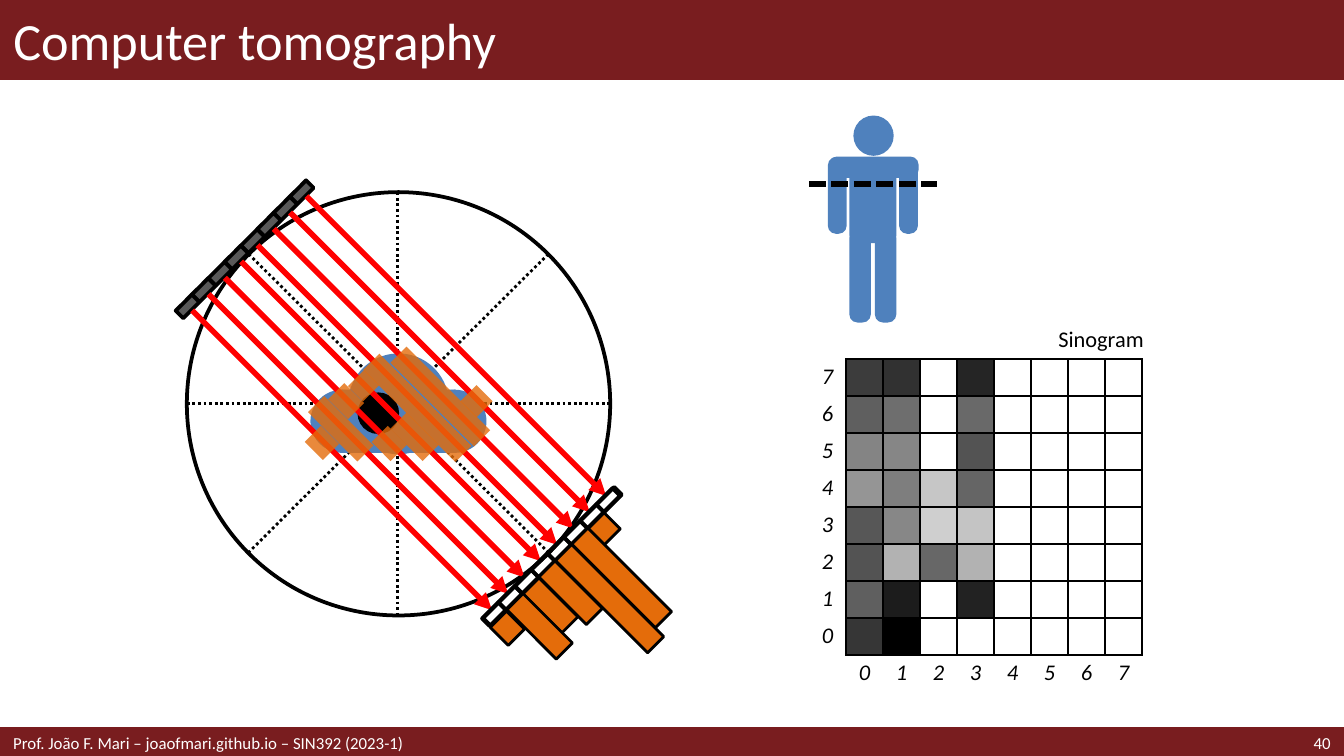
from typing import NamedTuple, Optional

from lxml.etree import SubElement
from pptx import Presentation
from pptx.dml.color import RGBColor
from pptx.enum.dml import MSO_LINE
from pptx.enum.shapes import MSO_CONNECTOR, MSO_SHAPE
from pptx.enum.text import MSO_ANCHOR, MSO_AUTO_SIZE, PP_ALIGN
from pptx.oxml.ns import qn
from pptx.util import Inches, Pt

FONT = "Calibri"
MAROON = RGBColor(0x79, 0x1D, 0x1F)
WHITE = RGBColor(0xFF, 0xFF, 0xFF)
BLACK = RGBColor(0, 0, 0)
BLUE = RGBColor(0x4F, 0x81, 0xBD)
GRAY = RGBColor(0x59, 0x59, 0x59)
RED = RGBColor(0xFF, 0, 0)
ORANGE = RGBColor(0xE4, 0x6C, 0x0A)
PLAIN_TABLE = "{2D5ABB26-0587-4C30-8999-92F81FD0307C}"

RECT, ROUND, OVAL = MSO_SHAPE.RECTANGLE, MSO_SHAPE.ROUNDED_RECTANGLE, MSO_SHAPE.OVAL


class Box(NamedTuple):
    x: float
    y: float
    w: float
    h: float


class Part(NamedTuple):
    kind: MSO_SHAPE
    box: Box
    rotation: float = 0
    adjust: Optional[float] = None


RAYS = 8
STEP = 0.85 / (RAYS - 1)
RAY_LENGTH = 2.23
ANGLE = 135
CELL_W, CELL_H = 0.17, 0.08

SCANNED_OBJECT = [
    Part(OVAL, Box(2.59, 2.63, 0.75, 0.75)),
    Part(OVAL, Box(3.15, 2.9, 0.47, 0.47)),
    Part(RECT, Box(2.54, 2.9, 0.85, 0.47)),
    Part(OVAL, Box(2.31, 2.9, 0.47, 0.47)),
]
PERSON = [
    Part(ROUND, Box(6.16, 1.17, 0.14, 0.57), adjust=0.43),
    Part(ROUND, Box(6.42, 0.91, 0.16, 0.67), 90, 0.39),
    Part(ROUND, Box(6.69, 1.17, 0.14, 0.57), adjust=0.43),
    Part(ROUND, Box(6.32, 1.17, 0.35, 0.64)),
    Part(ROUND, Box(6.32, 1.71, 0.16, 0.69), adjust=0.38),
    Part(OVAL, Box(6.35, 0.86, 0.3, 0.3)),
    Part(ROUND, Box(6.51, 1.71, 0.16, 0.69), adjust=0.38),
]
# Left, top and length of each strip along the rays
ABSORBED = [
    (3.46, 2.9, 0.17), (3.19, 2.51, 0.88), (3.02, 2.55, 0.97),
    (2.62, 2.79, 0.16), (2.49, 2.88, 0.21), (2.45, 2.93, 0.52),
    (2.31, 3.2, 0.19), (3, 3.08, 0.34), (2.81, 3.2, 0.2),
]
PROFILE = [
    (4.41, 3.85, 0.17), (4.54, 3.86, 0.88), (4.45, 3.97, 0.97),
    (4.16, 4.16, 0.5), (4.01, 4.3, 0.41), (3.93, 4.4, 0.52), (3.69, 4.58, 0.19),
]
# Gray levels of the filled columns, from row 7 down to row 0
SINOGRAM = [
    (0x3C, 0x31, None, 0x25),
    (0x5F, 0x6E, None, 0x69),
    (0x84, 0x86, 0xFF, 0x53),
    (0x95, 0x7E, 0xC6, 0x65),
    (0x57, 0x87, 0xCF, 0xC4),
    (0x53, 0xB2, 0x67, 0xB2),
    (0x5F, 0x1C, None, 0x22),
    (0x36, 0x00, None, None),
]


def write(tf, text: str, *, size: float, color: RGBColor = BLACK,
          align: PP_ALIGN = PP_ALIGN.LEFT, italic: bool = False) -> None:
    p = tf.paragraphs[0]
    p.alignment = align
    r = p.add_run()
    r.text = text
    r.font.name, r.font.size, r.font.italic = FONT, Pt(size), italic
    r.font.color.rgb = color


def add_text(slide, box: Box, text: str, *, margin_y: float = 0.05, margin_right: float = 0.1,
             anchor: MSO_ANCHOR = MSO_ANCHOR.MIDDLE, **style) -> None:
    tf = slide.shapes.add_textbox(*map(Inches, box)).text_frame
    tf.word_wrap = True
    tf.vertical_anchor = anchor
    tf.margin_top = tf.margin_bottom = Inches(margin_y)
    tf.margin_right = Inches(margin_right)
    write(tf, text, **style)


def add_part(slide, part: Part, *, fill: Optional[RGBColor] = None, opacity: int = 100,
             line: Optional[RGBColor] = None, width: float = 1) -> None:
    sp = slide.shapes.add_shape(part.kind, *map(Inches, part.box))
    sp.shadow.inherit = False
    sp.rotation = part.rotation
    if part.adjust is not None:
        sp.adjustments[0] = part.adjust
    if fill is None:
        sp.fill.background()
    else:
        sp.fill.solid()
        sp.fill.fore_color.rgb = fill
        if opacity < 100:
            color = sp._element.spPr.find(qn("a:solidFill")).find(qn("a:srgbClr"))
            SubElement(color, qn("a:alpha")).set("val", str(opacity * 1000))
    if line is None:
        sp.line.fill.background()
    else:
        sp.line.color.rgb = line
        sp.line.width = Pt(width)


def add_line(slide, x1: float, y1: float, x2: float, y2: float, *, color: RGBColor = BLACK,
             width: float = 1.5, dash: Optional[MSO_LINE] = None, arrow: bool = False) -> None:
    ends = map(Inches, (x1, y1, x2, y2))
    cn = slide.shapes.add_connector(MSO_CONNECTOR.STRAIGHT, *ends)
    cn.line.color.rgb = color
    cn.line.width = Pt(width)
    if dash is not None:
        cn.line.dash_style = dash
    sp_pr = cn._element.spPr
    if arrow:
        SubElement(sp_pr.find(qn("a:ln")), qn("a:tailEnd")).set("type", "triangle")
    SubElement(sp_pr, qn("a:effectLst"))


def add_cell_row(slide, x: float, y: float, fill: Optional[RGBColor] = None) -> None:
    """Draw the diagonal row of cells of the emitter or the detector."""
    for i in range(RAYS):
        box = Box(x - i * STEP, y + i * STEP, CELL_W, CELL_H)
        add_part(slide, Part(RECT, box, ANGLE), fill=fill, line=BLACK, width=2)


def add_strips(slide, strips: list, **style) -> None:
    for x, y, length in strips:
        add_part(slide, Part(RECT, Box(x, y, CELL_W, length), ANGLE), **style)


def set_borders(cell) -> None:
    tc_pr = cell._tc.get_or_add_tcPr()
    for i, side in enumerate(("lnL", "lnR", "lnT", "lnB")):
        ln = tc_pr.makeelement(qn(f"a:{side}"), {"w": str(Pt(1))})
        fill = SubElement(ln, qn("a:solidFill"))
        SubElement(fill, qn("a:srgbClr")).set("val", str(BLACK))
        tc_pr.insert(i, ln)


def add_sinogram(slide, box: Box) -> None:
    n = RAYS + 1
    frame = slide.shapes.add_table(n, n, *map(Inches, box))
    table = frame.table
    table.first_row = table.horz_banding = False
    table._tbl.tblPr.find(qn("a:tableStyleId")).text = PLAIN_TABLE
    for i in range(n):
        table.columns[i].width = Inches(box.w / n)
        table.rows[i].height = Inches(box.h / n)
    for row in range(n):
        for col in range(n):
            cell = table.cell(row, col)
            cell.margin_left = cell.margin_right = cell.margin_top = cell.margin_bottom = 0
            cell.vertical_anchor = MSO_ANCHOR.MIDDLE
            cell.fill.background()
            in_grid = row < RAYS and col > 0
            if in_grid or (row == RAYS and col == 0):
                p = cell.text_frame.paragraphs[0]._p
                SubElement(p, qn("a:endParaRPr")).set("sz", "1200")
            else:
                label = col - 1 if row == RAYS else RAYS - 1 - row
                write(cell.text_frame, str(label), size=12, align=PP_ALIGN.CENTER, italic=True)
            if in_grid:
                level = SINOGRAM[row][col - 1] if col <= len(SINOGRAM[row]) else None
                if level is not None:
                    cell.fill.solid()
                    cell.fill.fore_color.rgb = RGBColor(level, level, level)
                set_borders(cell)


def add_frame(slide) -> None:
    """Draw the title bar, the title and the footer."""
    title_box = Box(0, 0, 10, 0.59)
    add_part(slide, Part(RECT, title_box), fill=MAROON, line=MAROON)
    add_part(slide, Part(RECT, Box(0, 5.42, 10, 0.21)), fill=MAROON, line=MAROON, width=2)
    title = slide.shapes.title
    title.left, title.top, title.width, title.height = map(Inches, title_box)
    slide.shapes._spTree.append(title._element)
    tf = title.text_frame
    tf.auto_size = MSO_AUTO_SIZE.NONE
    tf.vertical_anchor = MSO_ANCHOR.MIDDLE
    write(tf, "Computer tomography", size=28, color=WHITE)
    add_text(slide, Box(8.86, 5.42, 1.14, 0.21), "40", size=9, color=WHITE, align=PP_ALIGN.RIGHT)
    add_text(slide, Box(0, 5.42, 6.89, 0.21),
             "Prof. João F. Mari – joaofmari.github.io – SIN392 (2023-1)", size=9, color=WHITE)


def add_scanner(slide) -> None:
    dots = MSO_LINE.ROUND_DOT
    add_line(slide, 4.08, 1.89, 1.85, 4.11, dash=dots)
    add_part(slide, Part(OVAL, Box(1.39, 1.43, 3.15, 3.15)), line=BLACK, width=2)
    for ends in ((2.96, 1.43, 2.96, 4.58), (1.39, 3, 4.54, 3), (1.85, 1.89, 4.08, 4.11)):
        add_line(slide, *ends, dash=dots)
    for part in SCANNED_OBJECT:
        add_part(slide, part, fill=BLUE)
    add_part(slide, Part(OVAL, Box(2.66, 2.92, 0.31, 0.31)), fill=BLACK)
    add_cell_row(slide, 2.16, 1.39, GRAY)
    for i in range(RAYS):
        x, y = 2.28 - i * STEP, 1.46 + i * STEP
        add_line(slide, x, y, x + RAY_LENGTH, y + RAY_LENGTH, color=RED, width=3, arrow=True)
    add_part(slide, Part(RECT, Box(3.42, 4.1, 1.38, CELL_H), ANGLE), line=BLACK, width=2)
    add_cell_row(slide, 4.44, 3.68)
    add_strips(slide, ABSORBED, fill=ORANGE, opacity=80)
    add_strips(slide, PROFILE, fill=ORANGE, line=BLACK, width=1.5)


def main() -> None:
    prs = Presentation()
    prs.slide_width = Inches(10)
    prs.slide_height = prs.slide_width * 9 // 16
    slide = prs.slides.add_slide(prs.slide_layouts[5])
    add_frame(slide)
    add_scanner(slide)
    for part in PERSON:
        add_part(slide, part, fill=BLUE)
    add_line(slide, 6.02, 1.37, 6.97, 1.37, width=3, dash=MSO_LINE.SQUARE_DOT)
    add_sinogram(slide, Box(6.02, 2.67, 2.48, 2.48))
    add_text(slide, Box(6.46, 2.42, 2.05, 0.21), "Sinogram", size=12, align=PP_ALIGN.RIGHT,
             anchor=MSO_ANCHOR.TOP, margin_y=0, margin_right=0)
    prs.save("out.pptx")


if __name__ == "__main__":
    main()
